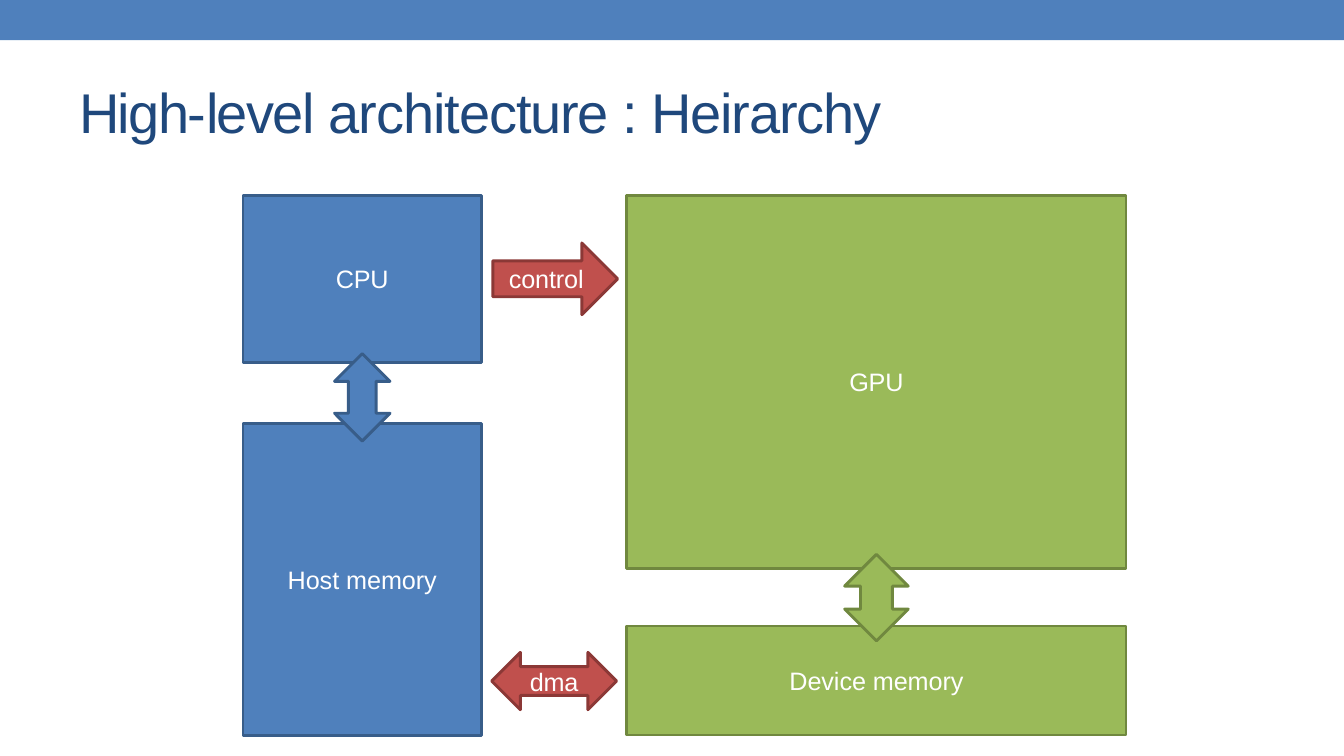
from pptx import Presentation
from pptx.dml.color import RGBColor
from pptx.enum.shapes import MSO_SHAPE
from pptx.enum.text import MSO_ANCHOR, PP_ALIGN
from pptx.util import Pt

HUES = {
    "navy": "1F487C", "white": "FFFFFF",
    "blue": "4F80BC", "blue edge": "385D89",
    "green": "9ABA59", "green edge": "70883F",
    "red": "C0504D", "red edge": "8B3836",
}


def tint(name):
    return RGBColor.from_string(HUES[name])


def write(part, text, size=18, hue="white", gap=0):
    run = part.add_run()
    run.text = text
    run.font.size = Pt(size)
    run.font.name = "Arial"
    run.font.color.rgb = tint(hue)
    run._r.get_or_add_rPr().set("spc", str(round(gap * 100)))


deck = Presentation()
deck.slide_width, deck.slide_height = Pt(960), Pt(540)
slide = deck.slides.add_slide(deck.slide_layouts[5])

bar = slide.shapes.add_shape(MSO_SHAPE.RECTANGLE, 0, 0, Pt(960), Pt(28.8))
bar.shadow.inherit = False
bar.fill.solid()
bar.fill.fore_color.rgb = tint("blue")
bar.line.fill.background()

title = slide.shapes.title
title.left, title.top, title.width, title.height = Pt(56.5), Pt(54.7), Pt(847), Pt(50)
frame = title.text_frame
frame.margin_left = frame.margin_right = frame.margin_bottom = 0
frame.margin_top = Pt(1)
frame.vertical_anchor = MSO_ANCHOR.TOP
head = frame.paragraphs[0]
head.alignment = PP_ALIGN.LEFT
for text, gap in [("High-", -1.2), ("level ", -1.1), ("architecture : Heirarchy", -0.8)]:
    write(head, text, size=40, hue="navy", gap=gap)

BOX, BOTH = MSO_SHAPE.RECTANGLE, MSO_SHAPE.LEFT_RIGHT_ARROW
RIGHT, TALL = MSO_SHAPE.RIGHT_ARROW, MSO_SHAPE.UP_DOWN_ARROW
HOST, CARD, TOP, BASE = 173.6, 447.8, 139.5, 525.1
WIDE, BROAD = 170.3, 356.5

parts = [
    (BOX, "blue", HOST, TOP, WIDE, 119.2, "CPU", -0.2),
    (BOX, "blue", HOST, 302.2, WIDE, BASE - 302.2, "Host memory", -0.05),
    (BOX, "green", CARD, TOP, BROAD, 266.4, "GPU", -0.2),
    (BOX, "green", CARD, 447.2, BROAD, BASE - 447.2, "Device memory", -0.05),
    (TALL, "blue", HOST + WIDE / 2 - 19.8, 252.6, 39.6, 62.4, "", 0),
    (BOTH, "red", 351.2, 466, 89.2, 41, "dma", -0.2),
    (RIGHT, "red", 352, 173.6, 89.2, 51.2, "control", -0.1),
    (TALL, "green", CARD + BROAD / 2 - 22.7, 396, 45.4, 61.8, "", 0),
]
for kind, hue, left, top, width, height, text, gap in parts:
    shape = slide.shapes.add_shape(kind, Pt(left), Pt(top), Pt(width), Pt(height))
    shape.shadow.inherit = False
    shape.fill.solid()
    shape.fill.fore_color.rgb = tint(hue)
    shape.line.color.rgb = tint(hue + " edge")
    shape.line.width = Pt(2.08)
    if text:
        frame = shape.text_frame
        frame.margin_left = frame.margin_right = 0
        frame.margin_top = frame.margin_bottom = 0
        frame.word_wrap = False
        frame.vertical_anchor = MSO_ANCHOR.MIDDLE
        label = frame.paragraphs[0]
        label.alignment = PP_ALIGN.CENTER
        write(label, text, gap=gap)

deck.save("out.pptx")
